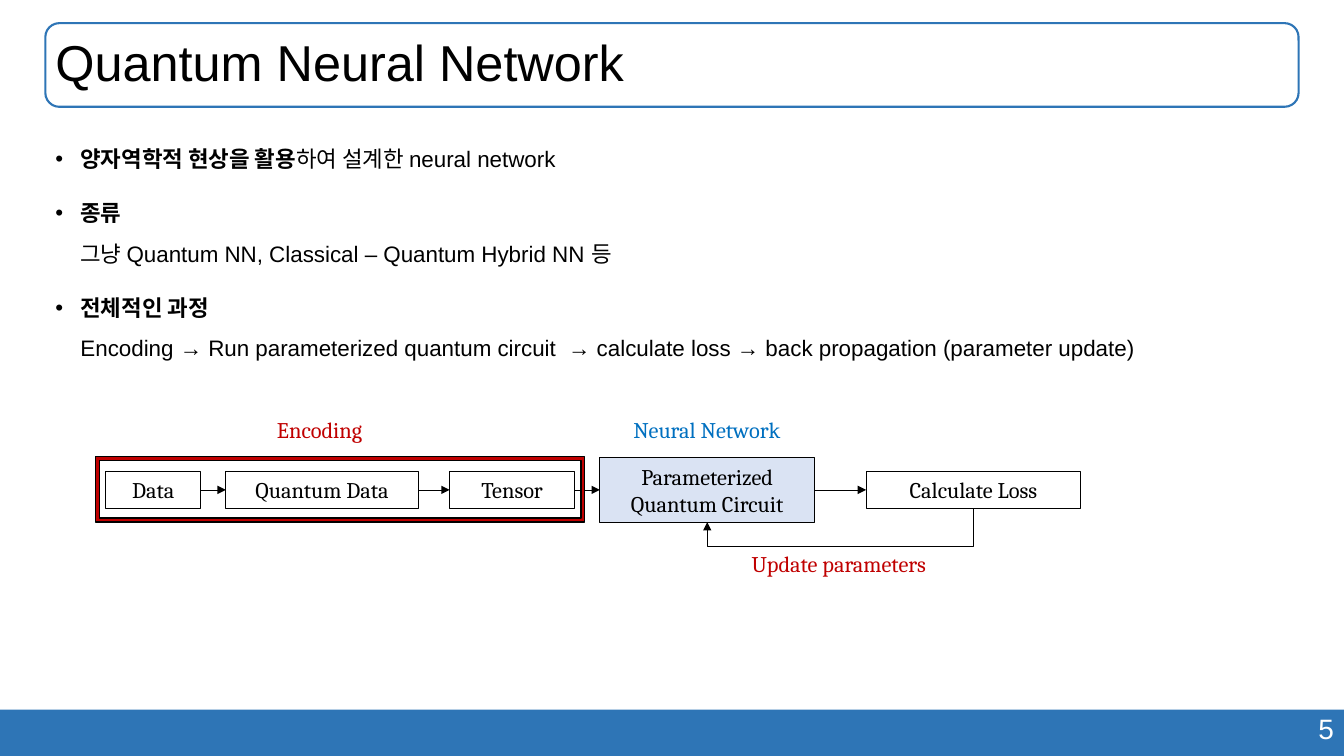
from lxml import etree
from pptx import Presentation
from pptx.dml.color import RGBColor
from pptx.enum.shapes import MSO_CONNECTOR, MSO_SHAPE
from pptx.enum.text import MSO_ANCHOR, MSO_AUTO_SIZE, PP_ALIGN
from pptx.oxml.ns import qn
from pptx.util import Inches, Pt

RECTANGLE, ROUNDED, FRAME = MSO_SHAPE.RECTANGLE, MSO_SHAPE.ROUNDED_RECTANGLE, MSO_SHAPE.FRAME
STRAIGHT, ELBOW = MSO_CONNECTOR.STRAIGHT, MSO_CONNECTOR.ELBOW
LEFT, CENTER, RIGHT = PP_ALIGN.LEFT, PP_ALIGN.CENTER, PP_ALIGN.RIGHT
MIDDLE, TOP = MSO_ANCHOR.MIDDLE, MSO_ANCHOR.TOP
NO_FIT = MSO_AUTO_SIZE.NONE
LEFT_SIDE, RIGHT_SIDE = 1, 3
COLORS = {"blue": "2E75B6", "black": "000000", "white": "FFFFFF",
          "pale": "DAE3F3", "red": "C00000", "label": "0070C0"}
TITLE_BOX = (0.45, 0.23, 12.43, 0.83)
BODY_BOX = (0.45, 1.26, 12.43, 5.53)
FLOW_BOX = (0.95, 4.08, 9.77, 1.7)
FOOTER_BOX = (0, 7.04, 13.33, 0.46)
POINTS = [
    ("양자역학적 현상을 활용", "하여 설계한 neural network", False),
    ("종류", "그냥 Quantum NN, Classical – Quantum Hybrid NN 등", True),
    ("전체적인 과정", "Encoding → Run parameterized quantum circuit  → calculate loss"
     " → back propagation (parameter update)", True),
]
STEPS = [
    ("Data", 0.1, 0.94, 0.37, None),
    ("Quantum Data", 1.29, 1.91, 0.37, None),
    ("Tensor", 3.51, 1.24, 0.37, None),
    ("Parameterized\nQuantum Circuit", 5, 2.13, 0.64, "pale"),
    ("Calculate Loss", 7.64, 2.13, 0.37, None),
]
LABELS = [("Encoding", 0.86, 0, "red"), ("Neural Network", 4.7, 0, "label"),
          ("Update parameters", 6.01, 1.33, "red")]


def color(name):
    return RGBColor.from_string(COLORS[name])


def style_font(font, name, size, shade, bold=False):
    font.name, font.size, font.bold = name, Pt(size), bold
    font.color.rgb = color(shade)


def write(frame, text, name, size, shade, align=CENTER, anchor=TOP):
    frame.word_wrap = True
    frame.auto_size = NO_FIT
    frame.vertical_anchor = anchor
    frame.text = text
    for para in frame.paragraphs:
        para.alignment = align
        for run in para.runs:
            style_font(run.font, name, size, shade)


def add_box(page, kind, box, fill=None, line=None, width=0.75):
    shape = page.shapes.add_shape(kind, *map(Inches, box))
    shape.shadow.inherit = False
    if fill:
        shape.fill.solid()
        shape.fill.fore_color.rgb = color(fill)
    else:
        shape.fill.background()
    if line:
        shape.line.color.rgb = color(line)
        shape.line.width = Pt(width)
    else:
        shape.line.fill.background()
    return shape


def add_label(page, box, *style, **layout):
    label = page.shapes.add_textbox(*map(Inches, box))
    write(label.text_frame, *style, **layout)


def add_arrow(page, kind, start, end):
    arrow = page.shapes.add_connector(kind, *map(Inches, start + end))
    arrow.line.color.rgb = color("black")
    arrow.line.width = Pt(0.5)
    properties = arrow.element.spPr
    line = properties.find(qn("a:ln"))
    etree.SubElement(line, qn("a:tailEnd"), type="triangle")
    etree.SubElement(properties, qn("a:effectLst"))
    return arrow


def add_feedback(page, start, end, drop):
    (start_x, start_y), (end_x, end_y) = start, end
    across, down = start_x - end_x, end_y - start_y
    middle_x, middle_y = (start_x + end_x) / 2, (start_y + end_y) / 2
    arrow = add_arrow(page, ELBOW,
                      (middle_x - down / 2, middle_y - across / 2),
                      (middle_x + down / 2, middle_y + across / 2))
    properties = arrow.element.spPr
    properties.find(qn("a:xfrm")).set("rot", "5400000")
    adjustments = properties.find(qn("a:prstGeom")).find(qn("a:avLst"))
    etree.SubElement(adjustments, qn("a:gd"), name="adj1",
                     fmla=f"val {round(drop / down * 100000)}")


def add_title(page, box):
    add_box(page, ROUNDED, box, line="blue", width=1.5)
    title = page.shapes.title
    title.left, title.top, title.width, title.height = map(Inches, box)
    write(title.text_frame, "Quantum Neural Network", "Arial", 36, "black", LEFT, MIDDLE)
    title.text_frame.paragraphs[0].line_spacing = 0.9


def add_points(page, box):
    frame = page.shapes.add_textbox(*map(Inches, box)).text_frame
    frame.word_wrap = True
    for index, (lead, rest, breaks) in enumerate(POINTS):
        para = frame.add_paragraph() if index else frame.paragraphs[0]
        para.text = lead
        if breaks:
            para.add_line_break()
        para.add_run().text = rest
        properties = para._p.get_or_add_pPr()
        properties.set("marL", str(Inches(0.25)))
        properties.set("indent", str(Inches(-0.25)))
        etree.SubElement(properties, qn("a:buFont"), typeface="Arial")
        etree.SubElement(properties, qn("a:buChar"), char="•")
        para.line_spacing = 1.5
        para.space_before = Pt(10 if index else 0)
        style_font(para.font, "Arial", 16, "black")
        for run, bold in zip(para.runs, (True, False)):
            style_font(run.font, "Arial", 16, "black", bold)


def add_flow(page, box):
    left, top = box[:2]
    axis = top + 0.78
    steps = []
    for text, offset, width, height, fill in STEPS:
        step = add_box(page, RECTANGLE, (left + offset, axis - height / 2, width, height),
                       fill, "black")
        write(step.text_frame, text, "Cambria", 16, "black", anchor=MIDDLE)
        steps.append(step)
    for before, after in zip(steps, steps[1:]):
        arrow = add_arrow(page, STRAIGHT, (left, axis), (left, axis))
        arrow.begin_connect(before, RIGHT_SIDE)
        arrow.end_connect(after, LEFT_SIDE)
    circuit, loss = [(left + offset + width / 2, axis + height / 2)
                     for _, offset, width, height, _ in STEPS[-2:]]
    add_feedback(page, loss, circuit, 0.38)
    for text, offset, down, shade in LABELS:
        add_label(page, (left + offset, top + down, 2.72, 0.37), text, "Cambria", 16, shade)
    border = add_box(page, FRAME, (left, top + 0.45, 4.85, 0.65), "red", "black", 1)
    border.adjustments[0] = 0.06


def add_footer(page, box):
    left, top, width, height = box
    add_box(page, RECTANGLE, box, "blue")
    add_label(page, (left + width - 3.9, top - 0.03, 3.9, 0.44),
              "5", "Arial", 20, "white", align=RIGHT)


def main():
    deck = Presentation()
    deck.slide_width, deck.slide_height = Inches(13.33), Inches(7.5)
    page = deck.slides.add_slide(deck.slide_layouts[5])
    add_footer(page, FOOTER_BOX)
    add_title(page, TITLE_BOX)
    add_points(page, BODY_BOX)
    add_flow(page, FLOW_BOX)
    deck.save("out.pptx")


if __name__ == "__main__":
    main()
